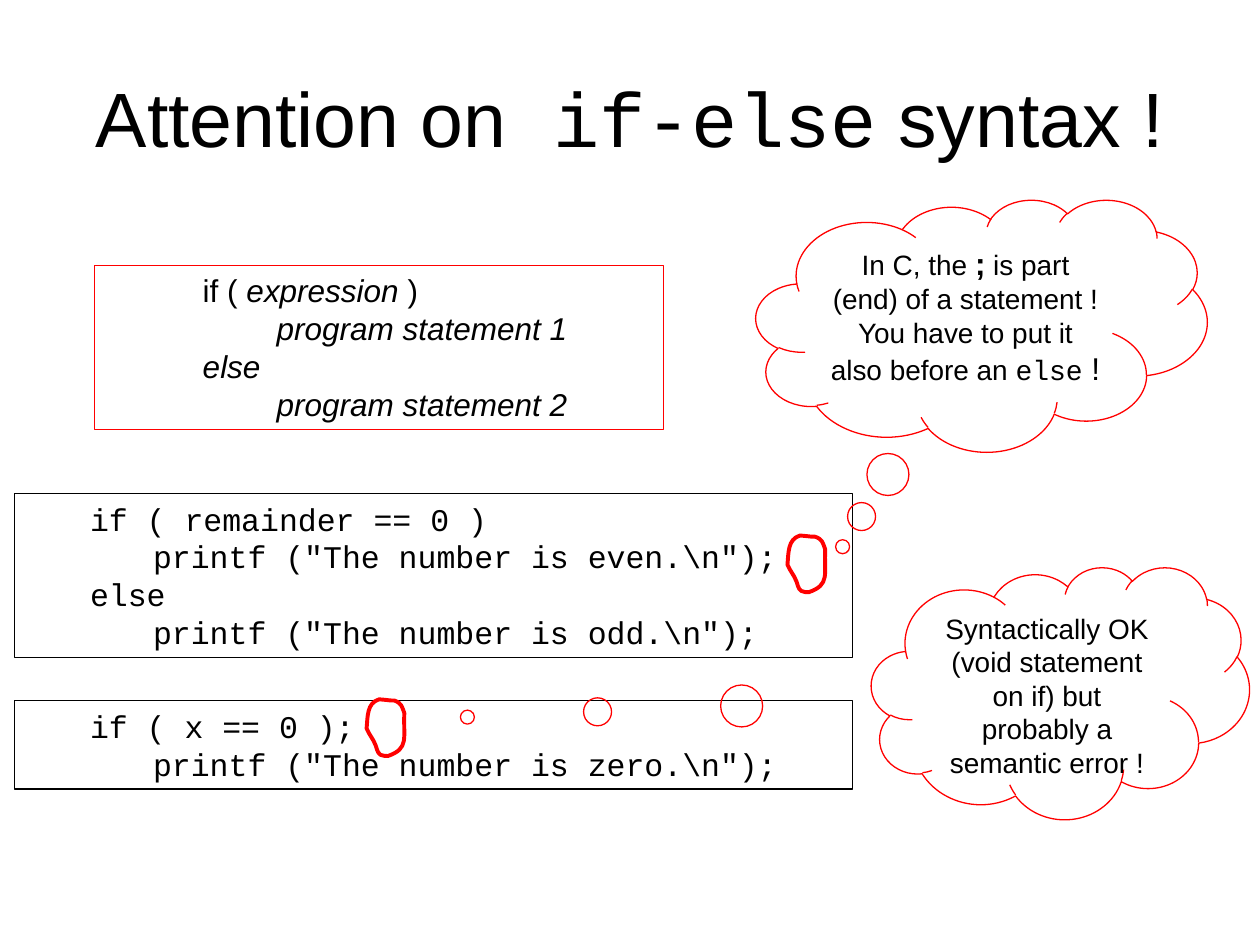
from dataclasses import dataclass
from lxml.etree import SubElement
from pptx import Presentation
from pptx.dml.color import RGBColor
from pptx.enum.shapes import MSO_SHAPE
from pptx.enum.text import MSO_ANCHOR, MSO_AUTO_SIZE, PP_ALIGN
from pptx.oxml.ns import qn
from pptx.util import Pt


@dataclass(frozen=True)
class Theme:
    black: RGBColor = RGBColor(0, 0, 0)
    red: RGBColor = RGBColor(255, 0, 0)
    sans: str = "Arial"
    mono: str = "Courier New"
    title: int = 44
    code: int = 18
    note: int = 16
    thin: float = 0.75
    thick: float = 2.25


T = Theme()

# Hand-drawn loop: start point, then (control, control, end) for each curve
START = (15.8, 0.7)
CURVES = [
    ((20.2, 2.2), (20.2, 4.3), (21.6, 7.9)),
    ((20.9, 22.3), (24.5, 28.1), (12.2, 32.4)),
    ((10.8, 32.4), (9.4, 32.4), (7.9, 31.7)),
    ((5.8, 30.2), (5.8, 27.4), (5, 25.9)),
    ((3.6, 22.3), (1.4, 20.2), (0, 16.6)),
    ((0.7, 10.1), (0, 2.2), (7.2, 0)),
    ((15.1, 0.7), (12.2, 0.7), START),
]


def add_run(para, text, size, face=T.sans, bold=False, italic=False):
    run = para.add_run()
    run.text = text
    font = run.font
    font.size, font.name = Pt(size), face
    font.bold, font.italic = bold, italic
    font.color.rgb = T.black


def add_para(frame, first, align=PP_ALIGN.LEFT, indent=0):
    para = frame.paragraphs[0] if first else frame.add_paragraph()
    para.alignment = align
    props = para._p.get_or_add_pPr()
    props.set("marL", str(Pt(indent)))
    props.set("indent", "0")
    return para


def outline(shape, color, width):
    shape.shadow.inherit = False
    shape.fill.background()
    shape.line.color.rgb = color
    shape.line.width = Pt(width)


def add_box(slide, kind, box, color):
    shape = slide.shapes.add_shape(kind, *map(Pt, box))
    outline(shape, color, T.thin)
    frame = shape.text_frame
    frame.word_wrap = True
    frame.vertical_anchor = MSO_ANCHOR.TOP
    return shape, frame


def add_title(slide, box, runs):
    frame = slide.shapes.add_textbox(*map(Pt, box)).text_frame
    frame.word_wrap = True
    frame.vertical_anchor = MSO_ANCHOR.MIDDLE
    para = add_para(frame, True, PP_ALIGN.CENTER)
    for text, face in runs:
        add_run(para, text, T.title, face)


def add_code(slide, box, lines):
    _, frame = add_box(slide, MSO_SHAPE.RECTANGLE, box, T.black)
    frame.word_wrap = False
    frame.auto_size = MSO_AUTO_SIZE.SHAPE_TO_FIT_TEXT
    for i, line in enumerate(lines):
        para = add_para(frame, i == 0, indent=36)
        tabs = SubElement(para._p.get_or_add_pPr(), qn("a:tabLst"))
        SubElement(tabs, qn("a:tab"), pos=str(Pt(108)), algn="l")
        add_run(para, line, T.code, T.mono)


def add_syntax(slide, box, lines):
    _, frame = add_box(slide, MSO_SHAPE.RECTANGLE, box, T.red)
    frame.auto_size = MSO_AUTO_SIZE.SHAPE_TO_FIT_TEXT
    for i, (indent, runs) in enumerate(lines):
        para = add_para(frame, i == 0, indent=indent)
        for text, italic in runs:
            add_run(para, text, T.code, italic=italic)


def add_cloud(slide, box, tail, paras):
    shape, frame = add_box(slide, MSO_SHAPE.CLOUD_CALLOUT, box, T.red)
    shape.adjustments[0], shape.adjustments[1] = tail
    for i, runs in enumerate(paras):
        para = add_para(frame, i == 0, PP_ALIGN.CENTER)
        for text, style in runs:
            add_run(para, text, **{"size": T.note, **style})


def add_loop(slide, left, top):
    def place(point):
        return Pt(left + point[0]), Pt(top + point[1])

    pen = slide.shapes.build_freeform(*place(START))
    pen.add_line_segments([place(p) for curve in CURVES for p in curve])
    shape = pen.convert_to_shape()
    outline(shape, T.red, T.thick)

    # Join each three points into one curve
    lines = list(shape._element.iter(qn("a:lnTo")))
    for i in range(0, len(CURVES) * 3, 3):
        bend = lines[i].makeelement(qn("a:cubicBezTo"))
        lines[i].addprevious(bend)
        for line in lines[i:i + 3]:
            bend.append(line[0])
            line.getparent().remove(line)


def main():
    deck = Presentation()
    deck.slide_width, deck.slide_height = Pt(720), Pt(540)
    slide = deck.slides.add_slide(deck.slide_layouts[6])

    add_title(slide, (36, 21.6, 648, 90), [
        ("Attention on", T.sans), (" if-else", T.mono), (" syntax !", T.sans),
    ])

    # Complete example and general syntax
    add_code(slide, (8.4, 282, 479, 93.8), [
        "if ( remainder == 0 )",
        "\tprintf (\"The number is even.\\n\");",
        "else",
        "\tprintf (\"The number is odd.\\n\");",
    ])
    outer, inner = 54.8, 97
    add_syntax(slide, (54, 151.5, 325.2, 93.8), [
        (outer, [("if ( ", False), ("expression ", True), (")", False)]),
        (inner, [("program statement 1", True)]),
        (outer, [("else", True)]),
        (inner, [("program statement 2", True)]),
    ])

    # Remark on the semicolon before else
    add_loop(slide, 450, 306)
    add_cloud(slide, (432, 114, 257.8, 144), (-0.308, 0.878), [
        [("In C, the ", {}),
         (";", {"size": T.code, "bold": True}),
         (" is part (end) of a statement !", {})],
        [("You have to put it also before an ", {}),
         ("else", {"face": T.mono}),
         (" !", {"size": T.code})],
    ])

    # Example with a void statement, and its remark
    add_code(slide, (8.4, 400.5, 479, 50.4), [
        "if ( x == 0 );",
        "\tprintf (\"The number is zero.\\n\");",
    ])
    add_loop(slide, 209.5, 399.6)
    add_cloud(slide, (498, 324, 216, 144), (-1.569, 0.096), [
        [("Syntactically OK (void statement on if) but probably a "
          "semantic error !", {})],
    ])

    deck.save("out.pptx")


if __name__ == "__main__":
    main()
